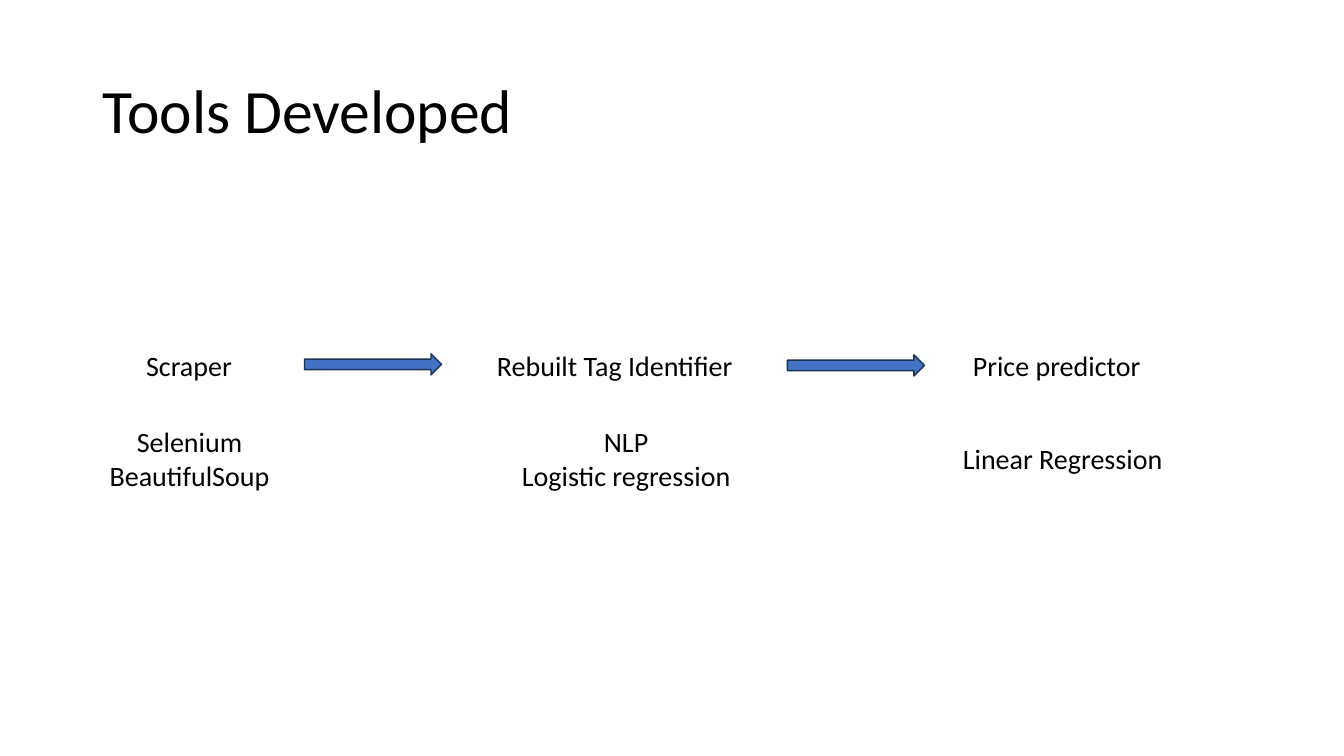
import dataclasses

import pptx
import pptx.dml.color
import pptx.enum.shapes
import pptx.enum.text
import pptx.util

Inches = pptx.util.Inches
Align = pptx.enum.text.PP_ALIGN

COLORS = {"text": "000000", "arrow": "4472C4", "outline": "1E3256"}
FONT = "Calibri"
ARROW_WIDTH, ARROW_HEIGHT = 1.36, 0.21


@dataclasses.dataclass(frozen=True)
class Label:
    text: str
    left: float
    top: float
    width: float = 2.98
    height: float = 0.44
    size: int = 20
    align: Align = Align.LEFT
    line_spacing: float = 1.0


@dataclasses.dataclass(frozen=True)
class Arrow:
    left: float
    top: float


TITLE = Label("Tools Developed", 0.92, 0.4, 11.5, 1.45, size=44, line_spacing=0.9)

STAGES = [
    Label("Scraper", 1.35, 3.4, width=2.28),
    Label("Rebuilt Tag Identifier", 4.83, 3.4),
    Label("Price predictor", 9.55, 3.4),
]

METHODS = [
    Label("Selenium\nBeautifulSoup", 0.39, 4.16, height=0.77, align=Align.CENTER),
    Label("NLP\nLogistic regression", 4.72, 4.16, height=0.77, align=Align.CENTER),
    Label("Linear Regression", 9.05, 4.33, align=Align.CENTER),
]

ARROWS = [Arrow(3.02, 3.51), Arrow(7.81, 3.52)]


def color(name: str) -> pptx.dml.color.RGBColor:
    return pptx.dml.color.RGBColor.from_string(COLORS[name])


def draw_label(page: pptx.slide.Slide, label: Label) -> None:
    box = page.shapes.add_textbox(
        Inches(label.left), Inches(label.top), Inches(label.width), Inches(label.height)
    )
    frame = box.text_frame
    frame.word_wrap = True
    frame.vertical_anchor = pptx.enum.text.MSO_ANCHOR.MIDDLE
    frame.text = label.text
    for para in frame.paragraphs:
        para.alignment = label.align
        para.line_spacing = label.line_spacing
        for span in para.runs:
            span.font.name = FONT
            span.font.size = pptx.util.Pt(label.size)
            span.font.color.rgb = color("text")


def draw_arrow(page: pptx.slide.Slide, arrow: Arrow) -> None:
    shape = page.shapes.add_shape(
        pptx.enum.shapes.MSO_SHAPE.RIGHT_ARROW,
        Inches(arrow.left), Inches(arrow.top), Inches(ARROW_WIDTH), Inches(ARROW_HEIGHT),
    )
    shape.shadow.inherit = False
    shape.fill.solid()
    shape.fill.fore_color.rgb = color("arrow")
    shape.line.color.rgb = color("outline")
    shape.line.width = pptx.util.Pt(1)


def main() -> None:
    deck = pptx.Presentation()
    deck.slide_width, deck.slide_height = Inches(13.33), Inches(7.5)
    page = deck.slides.add_slide(deck.slide_layouts[6])

    # Title, pipeline stages and the methods below them
    for label in [TITLE, *STAGES, *METHODS]:
        draw_label(page, label)

    # Arrows between the stages
    for arrow in ARROWS:
        draw_arrow(page, arrow)

    deck.save("out.pptx")


if __name__ == "__main__":
    main()
